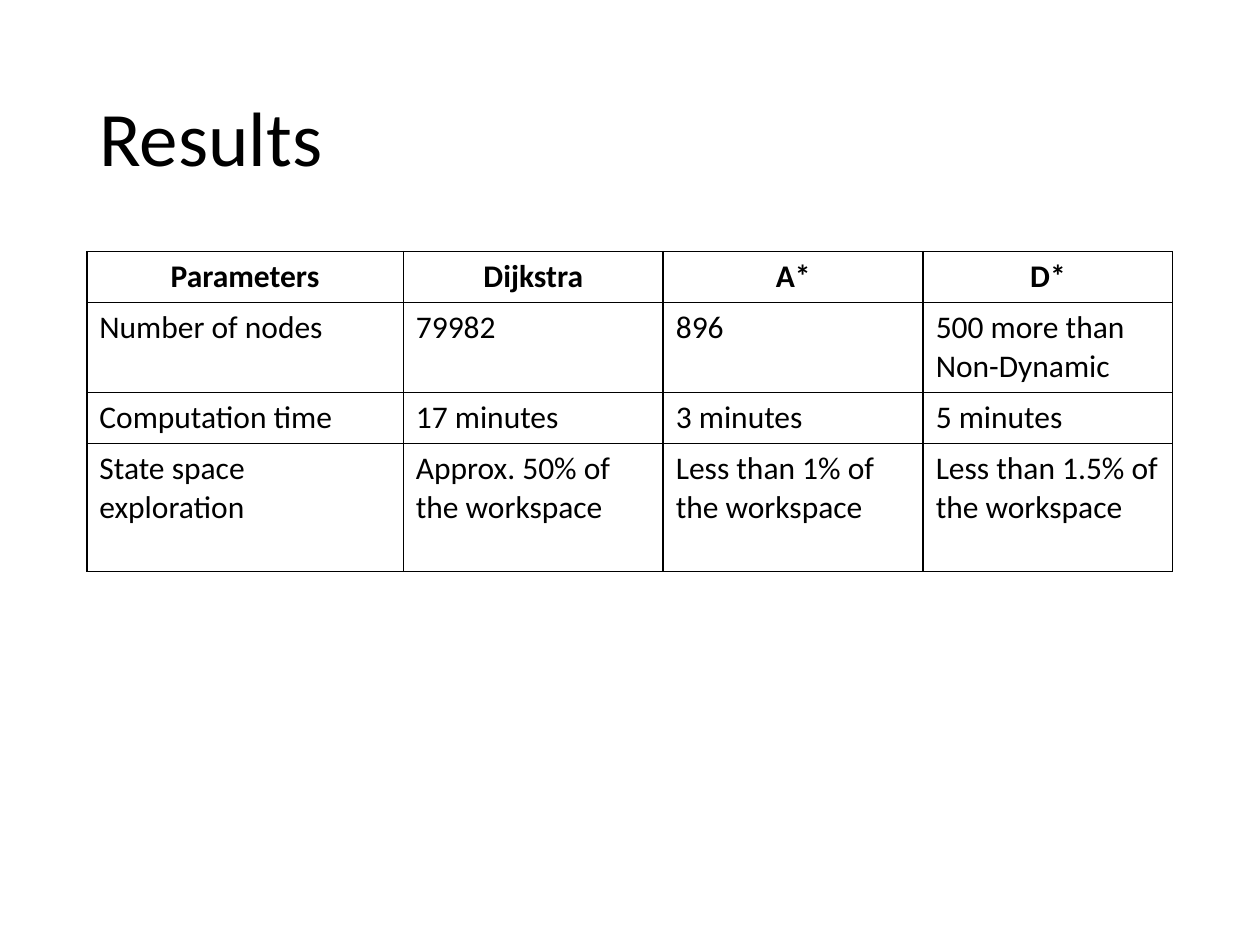
from lxml import etree
from pptx import Presentation
from pptx.dml.color import RGBColor
from pptx.enum.text import MSO_ANCHOR, PP_ALIGN
from pptx.oxml.ns import qn
from pptx.util import Cm, Pt

LEFT, CENTER = PP_ALIGN.LEFT, PP_ALIGN.CENTER
TOP, MIDDLE = MSO_ANCHOR.TOP, MSO_ANCHOR.MIDDLE
TITLE_ONLY = 5
COLORS = {"text": "000000", "border": "000000", "background": "FFFFFF"}
FONT = "Calibri"
CONTENT_LEFT, CONTENT_WIDTH = 1.75, 21.89

COLUMN_WIDTHS = [6.38, 5.24, 5.24, 5.03]
ROW_HEIGHTS = [1.03, 1.81, 1.03, 2.58]
RESULTS = [
    ["Parameters", "Dijkstra", "A*", "D*"],
    ["Number of nodes", "79982", "896", "500 more than Non-Dynamic"],
    ["Computation time", "17 minutes", "3 minutes", "5 minutes"],
    ["State space exploration", "Approx. 50% of the workspace",
     "Less than 1% of the workspace", "Less than 1.5% of the workspace"],
]


def set_attributes(target, values):
    """Set every attribute named in a dict of format values."""
    for name, value in values.items():
        setattr(target, name, value)


def write_text(text_frame, text, size, alignment=LEFT, bold=False, line_spacing=1.0):
    """Write one formatted paragraph into a text frame."""
    paragraph = text_frame.paragraphs[0]
    set_attributes(paragraph, {"alignment": alignment, "line_spacing": line_spacing})
    run = paragraph.add_run()
    run.text = text
    set_attributes(run.font, {"name": FONT, "size": Pt(size), "bold": bold})
    run.font.color.rgb = RGBColor.from_string(COLORS["text"])


def add_title(slide, text):
    """Place and format the title placeholder."""
    title = slide.shapes.title
    set_attributes(title, {"left": Cm(CONTENT_LEFT), "top": Cm(1.01),
                           "width": Cm(CONTENT_WIDTH), "height": Cm(3.68)})
    set_attributes(title.text_frame, {"vertical_anchor": MIDDLE, "word_wrap": True})
    write_text(title.text_frame, text, 44, line_spacing=0.9)


def add_borders(cell):
    """Draw a thin line on all four sides of a cell."""
    properties = cell._tc.get_or_add_tcPr()
    for position, side in enumerate(("lnL", "lnR", "lnT", "lnB")):
        line = etree.Element(qn(f"a:{side}"), w=str(Pt(1)))
        fill = etree.SubElement(line, qn("a:solidFill"))
        etree.SubElement(fill, qn("a:srgbClr"), val=COLORS["border"])
        properties.insert(position, line)


def add_results_table(slide, rows):
    """Add a bordered table whose first row is a centred bold header."""
    frame = slide.shapes.add_table(
        len(rows), len(rows[0]), Cm(CONTENT_LEFT), Cm(5.07),
        Cm(CONTENT_WIDTH), Cm(sum(ROW_HEIGHTS)))
    table = frame.table
    set_attributes(table, {"first_row": False, "horz_banding": False})
    for column, width in zip(table.columns, COLUMN_WIDTHS):
        column.width = Cm(width)
    for row_index, (row, height, texts) in enumerate(zip(table.rows, ROW_HEIGHTS, rows)):
        row.height = Cm(height)
        header = row_index == 0
        for cell, text in zip(row.cells, texts):
            cell.vertical_anchor = TOP
            cell.fill.solid()
            cell.fill.fore_color.rgb = RGBColor.from_string(COLORS["background"])
            add_borders(cell)
            write_text(cell.text_frame, text, 18, CENTER if header else LEFT, header)


def main():
    """Build the results slide and save it."""
    presentation = Presentation()
    set_attributes(presentation, {"slide_width": Cm(25.4), "slide_height": Cm(19.05)})
    slide = presentation.slides.add_slide(presentation.slide_layouts[TITLE_ONLY])
    add_title(slide, "Results")
    add_results_table(slide, RESULTS)
    presentation.save("out.pptx")


main()
